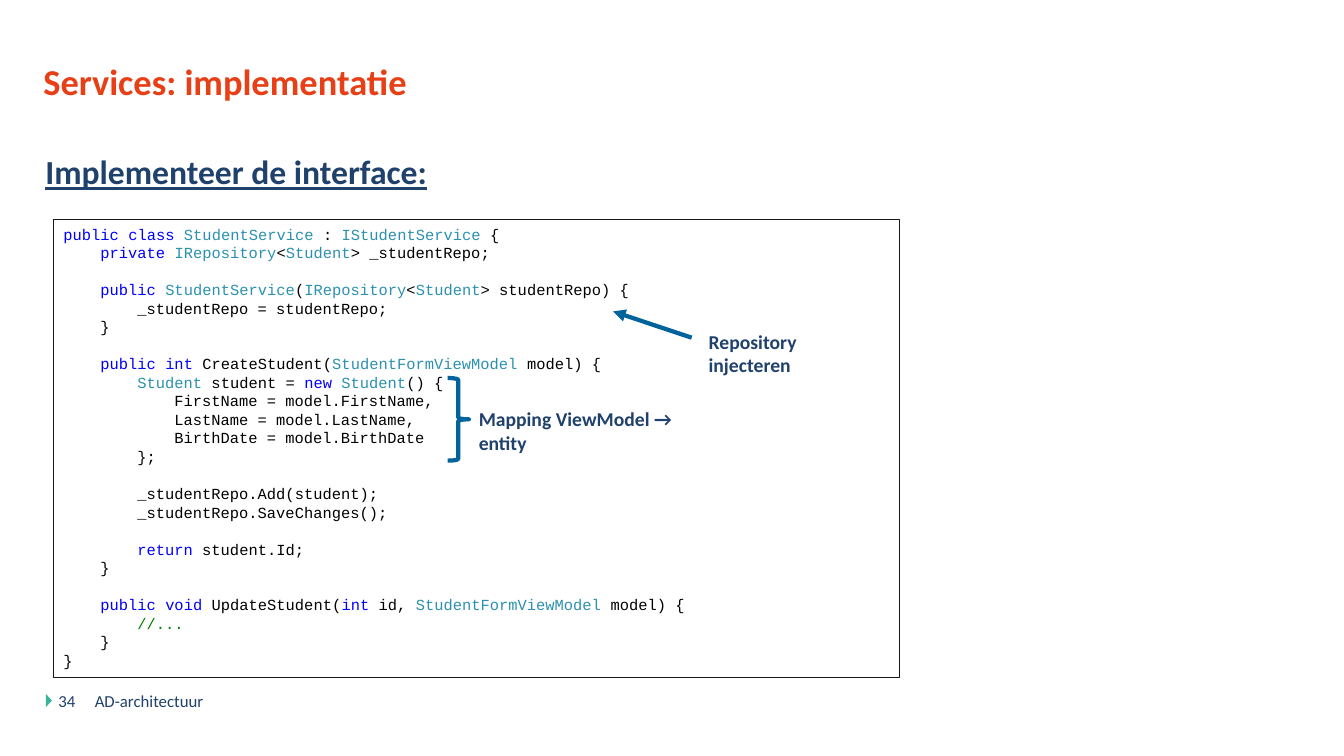
from itertools import groupby

from lxml import etree
from pptx import Presentation
from pptx.dml.color import RGBColor
from pptx.enum.shapes import MSO_CONNECTOR, MSO_SHAPE
from pptx.enum.text import MSO_ANCHOR, MSO_AUTO_SIZE, PP_ALIGN
from pptx.oxml.ns import qn
from pptx.util import Pt

RECTANGLE = MSO_SHAPE.RECTANGLE
TRIANGLE = MSO_SHAPE.ISOSCELES_TRIANGLE
RIGHT_BRACE = MSO_SHAPE.RIGHT_BRACE
STRAIGHT = MSO_CONNECTOR.STRAIGHT
TOP = MSO_ANCHOR.TOP
LEFT = PP_ALIGN.LEFT
NO_AUTOFIT = MSO_AUTO_SIZE.NONE

EMU_PER_PX = 9144
TITLE_ONLY = 5
CODE_SIZE = 11
CODE_LINE = 13.25
INDENT_PER_SPACE = 0.6 * CODE_SIZE

COLORS = {
    "title": "E73F16",
    "text": "1F416B",
    "marker": "3CB497",
    "frame": "181716",
    "accent": "00639C",
    "plain": "000000",
    "keyword": "0000FF",
    "type": "2B91AF",
    "comment": "008000",
}

KEYWORDS = {"public", "private", "class", "int", "void", "new", "return"}
TYPES = {"StudentService", "IStudentService", "IRepository", "Student", "StudentFormViewModel"}

CODE = """public class StudentService : IStudentService {
    private IRepository<Student> _studentRepo;

    public StudentService(IRepository<Student> studentRepo) {
        _studentRepo = studentRepo;
    }

    public int CreateStudent(StudentFormViewModel model) {
        Student student = new Student() {
            FirstName = model.FirstName,
            LastName = model.LastName,
            BirthDate = model.BirthDate
        };

        _studentRepo.Add(student);
        _studentRepo.SaveChanges();

        return student.Id;
    }

    public void UpdateStudent(int id, StudentFormViewModel model) {
        //...
    }
}"""


def px(value):
    return value * EMU_PER_PX


def color(name):
    return RGBColor.from_string(COLORS[name])


def code_tokens(line):
    if line.startswith("//"):
        return [(line, "comment")]
    tokens = []
    for _, letters in groupby(line, lambda letter: letter.isalnum() or letter == "_"):
        word = "".join(letters)
        kind = "keyword" if word in KEYWORDS else "type" if word in TYPES else "plain"
        tokens.append((word, kind))
    return tokens


class SlideBuilder:
    font = "Calibri"
    code_font = "Courier New"

    def __init__(self, page):
        self.page = page

    def style(self, span, size, color_name, bold=False, underline=False, font=None):
        span.font.name = font or self.font
        span.font.size = Pt(size)
        span.font.bold = bold
        span.font.underline = underline
        span.font.color.rgb = color(color_name)

    def frame(self, box, inset_x=0, inset_y=0):
        frame = box.text_frame
        frame.word_wrap = True
        frame.auto_size = NO_AUTOFIT
        frame.vertical_anchor = TOP
        frame.margin_left = frame.margin_right = px(inset_x)
        frame.margin_top = frame.margin_bottom = px(inset_y)
        return frame

    def put_text(self, box, text, size, color_name, inset=(0, 0), **looks):
        frame = self.frame(box, *inset)
        frame.text = text
        para = frame.paragraphs[0]
        para.alignment = LEFT
        self.style(para.runs[0], size, color_name, **looks)
        return para

    def title(self, area, text):
        box = self.page.shapes.title
        box.left, box.top, box.width, box.height = map(px, area)
        self.put_text(box, text, 26, "title", bold=True).line_spacing = 0.8

    def text(self, area, text, size, **looks):
        box = self.page.shapes.add_textbox(*map(px, area))
        self.put_text(box, text, size, "text", **looks)

    def label(self, area, text):
        self.text(area, text, 14, inset=(10, 5), bold=True)

    def shape(self, kind, area, fill=None, line=None, weight=1, rotation=0):
        box = self.page.shapes.add_shape(kind, *map(px, area))
        box.shadow.inherit = False
        box.rotation = rotation
        if fill:
            box.fill.solid()
            box.fill.fore_color.rgb = color(fill)
        else:
            box.fill.background()
        if line:
            box.line.color.rgb = color(line)
            box.line.width = Pt(weight)
        else:
            box.line.fill.background()
        return box

    def arrow(self, start, end):
        arrow = self.page.shapes.add_connector(STRAIGHT, *map(px, start + end))
        arrow.line.color.rgb = color("accent")
        arrow.line.width = Pt(3)
        properties = arrow._element.spPr
        etree.SubElement(properties.get_or_add_ln(), qn("a:tailEnd"), type="triangle")
        etree.SubElement(properties, qn("a:effectLst"))

    def code(self, area, source):
        box = self.shape(RECTANGLE, area, line="frame", weight=0.75)
        frame = self.frame(box, 10, 5)
        para = frame.paragraphs[0]
        for block_number, block in enumerate(source.split("\n\n")):
            for line_number, line in enumerate(block.split("\n")):
                if block_number or line_number:
                    para = frame.add_paragraph()
                para.alignment = LEFT
                para.line_spacing = Pt(CODE_LINE)
                para.space_before = Pt(CODE_LINE if block_number and not line_number else 0)
                statement = line.lstrip()
                indent = Pt((len(line) - len(statement)) * INDENT_PER_SPACE)
                para._p.get_or_add_pPr().set("marL", str(int(indent)))
                for word, kind in code_tokens(statement):
                    span = para.add_run()
                    span.text = word
                    self.style(span, CODE_SIZE, kind, font=self.code_font)


def main():
    deck = Presentation()
    deck.slide_width, deck.slide_height = px(1333), px(750)
    builder = SlideBuilder(deck.slides.add_slide(deck.slide_layouts[TITLE_ONLY]))

    builder.shape(TRIANGLE, (42, 692, 13, 6), fill="marker", rotation=90)
    builder.title((43, 67, 1150, 75), "Services: implementatie")
    builder.text((45, 150, 1064, 60), "Implementeer de interface:", 24, bold=True, underline=True)
    builder.text((94, 685, 450, 40), "AD-architectuur", 12)
    builder.text((58, 685, 31, 40), "34", 12)
    builder.code((53, 218, 839, 454), CODE)
    builder.arrow((686, 335), (608, 309))
    builder.label((693, 322, 188, 34), "Repository injecteren")
    builder.shape(RIGHT_BRACE, (444, 375, 21, 82), line="accent", weight=3)
    builder.label((465, 399, 255, 34), "Mapping ViewModel → entity")

    deck.save("out.pptx")


if __name__ == "__main__":
    main()
